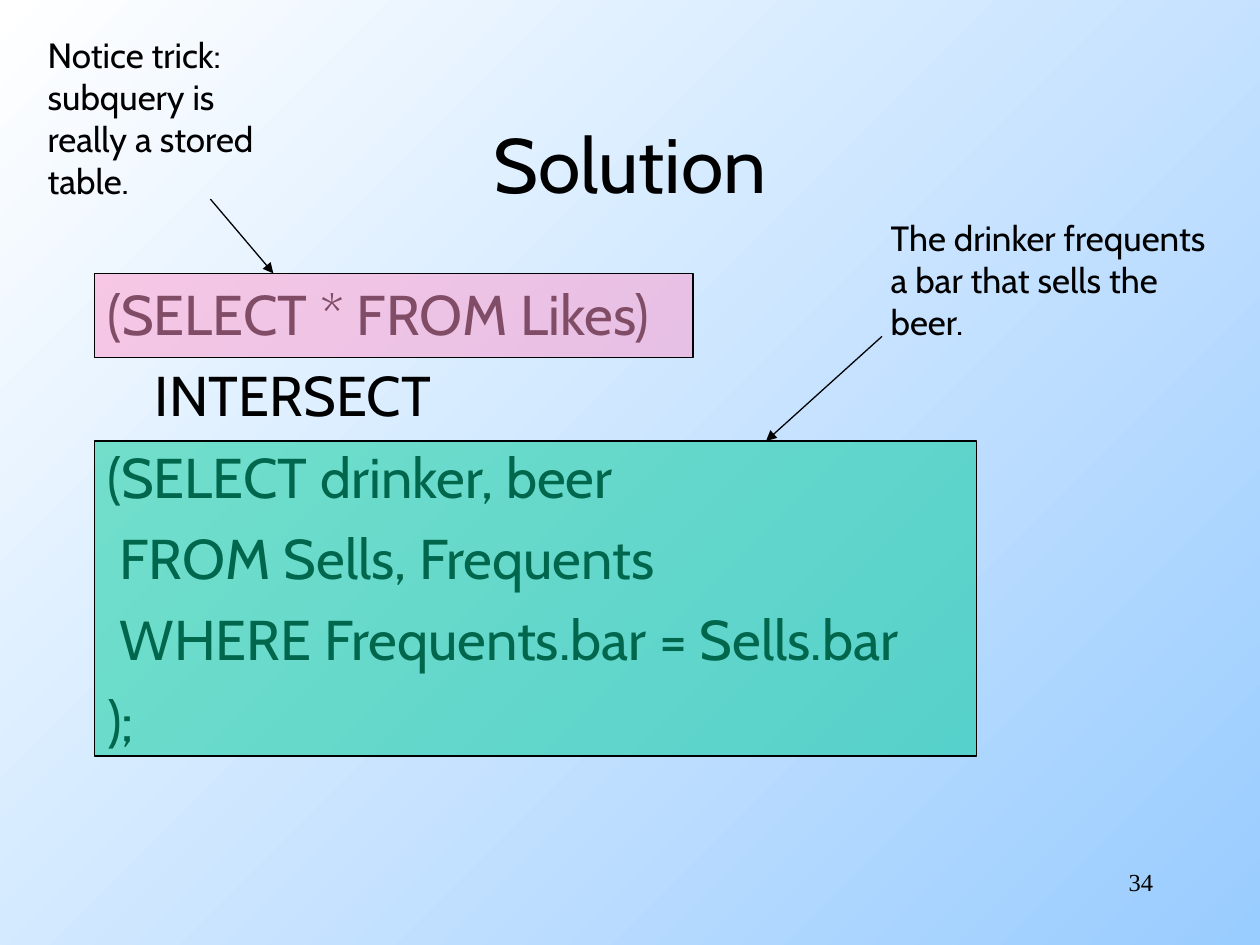
from lxml.etree import SubElement
from pptx import Presentation
from pptx.dml.color import RGBColor
from pptx.enum.shapes import MSO_CONNECTOR as CONNECTOR, MSO_SHAPE as SHAPE
from pptx.enum.text import MSO_ANCHOR as ANCHOR, MSO_AUTO_SIZE as AUTO_SIZE, PP_ALIGN as ALIGN
from pptx.oxml.ns import qn
from pptx.util import Inches, Pt

BLACK = "000000"
TITLE = "Solution"
PAGE = "34"
QUERY = [
    ("(SELECT * FROM Likes)", -0.38),
    ("INTERSECT", 0),
    ("(SELECT drinker, beer", -0.38),
    (" FROM Sells, Frequents", -0.38),
    (" WHERE Frequents.bar = Sells.bar", -0.38),
    (");", -0.38),
]
CALLOUTS = [
    {
        "box": (0.75, 3.5, 7, 2.5),
        "color": "00CC99",
        "note": ["The drinker frequents", "a bar that sells the", "beer."],
        "note_at": (6.97, 1.67, 3.03, 1.1),
        "arrow": (7, 2.67, 6.08, 3.5),
    },
    {
        "box": (0.75, 2.17, 4.75, 0.67),
        "color": "FF99CC",
        "note": ["Notice trick:", "subquery is", "really a stored", "table."],
        "note_at": (0.28, 0.22, 2.06, 1.44),
        "arrow": (1.67, 1.58, 2.17, 2.17),
    },
]


def rgb(color):
    return RGBColor.from_string(color)


def inches(values):
    return [Inches(value) for value in values]


def place(shape, area):
    shape.left, shape.top, shape.width, shape.height = inches(area)


def write(frame, lines, size, font="Cabin", align=ALIGN.LEFT):
    frame.word_wrap = True
    frame.auto_size = AUTO_SIZE.NONE
    for number, line in enumerate(lines):
        paragraph = frame.add_paragraph() if number else frame.paragraphs[0]
        paragraph.alignment = align
        run = paragraph.add_run()
        run.text = line
        run.font.size = Pt(size)
        run.font.name = font
        run.font.color.rgb = rgb(BLACK)


def outline(shape):
    shape.line.color.rgb = rgb(BLACK)
    shape.line.width = Pt(0.75)


def add_callout(slide, callout):
    group = slide.shapes.add_group_shape()

    box = group.shapes.add_shape(SHAPE.RECTANGLE, *inches(callout["box"]))
    box.shadow.inherit = False
    box.fill.solid()
    box.fill.fore_color.rgb = rgb(callout["color"])
    tint = box.fill._xPr.find(".//" + qn("a:srgbClr"))
    SubElement(tint, qn("a:alpha"), val="50000")
    outline(box)

    note = group.shapes.add_textbox(*inches(callout["note_at"]))
    write(note.text_frame, callout["note"], 20)

    arrow = group.shapes.add_connector(CONNECTOR.STRAIGHT, *inches(callout["arrow"]))
    outline(arrow)
    SubElement(arrow.line._get_or_add_ln(), qn("a:tailEnd"), type="triangle")
    SubElement(arrow._element.spPr, qn("a:effectLst"))


def main():
    deck = Presentation()
    deck.slide_width, deck.slide_height = Inches(10), Inches(7.5)
    slide = deck.slides.add_slide(deck.slide_layouts[1])

    backdrop = slide.background.fill
    backdrop.gradient()
    backdrop.gradient_angle = 135
    for stop, color in zip(backdrop.gradient_stops, ("99CCFF", "FFFFFF")):
        stop.color.rgb = rgb(color)

    title, query = slide.placeholders
    place(title, (0.75, 0.67, 8.5, 1.25))
    title.text_frame.vertical_anchor = ANCHOR.MIDDLE
    write(title.text_frame, [TITLE], 44, align=ALIGN.CENTER)

    place(query, (0.75, 2.17, 8.5, 4.5))
    write(query.text_frame, [line for line, _ in QUERY], 32)
    for paragraph, (_, indent) in zip(query.text_frame.paragraphs, QUERY):
        paragraph.space_before = Pt(8)
        properties = paragraph._p.get_or_add_pPr()
        properties.set("marL", str(Inches(0.38)))
        properties.set("indent", str(Inches(indent)))
        SubElement(properties, qn("a:buNone"))

    page = slide.shapes.add_textbox(*inches((7.17, 6.83, 2.08, 0.5)))
    write(page.text_frame, [PAGE], 14, "Times New Roman", ALIGN.RIGHT)

    for callout in CALLOUTS:
        add_callout(slide, callout)

    deck.save("out.pptx")


if __name__ == "__main__":
    main()
